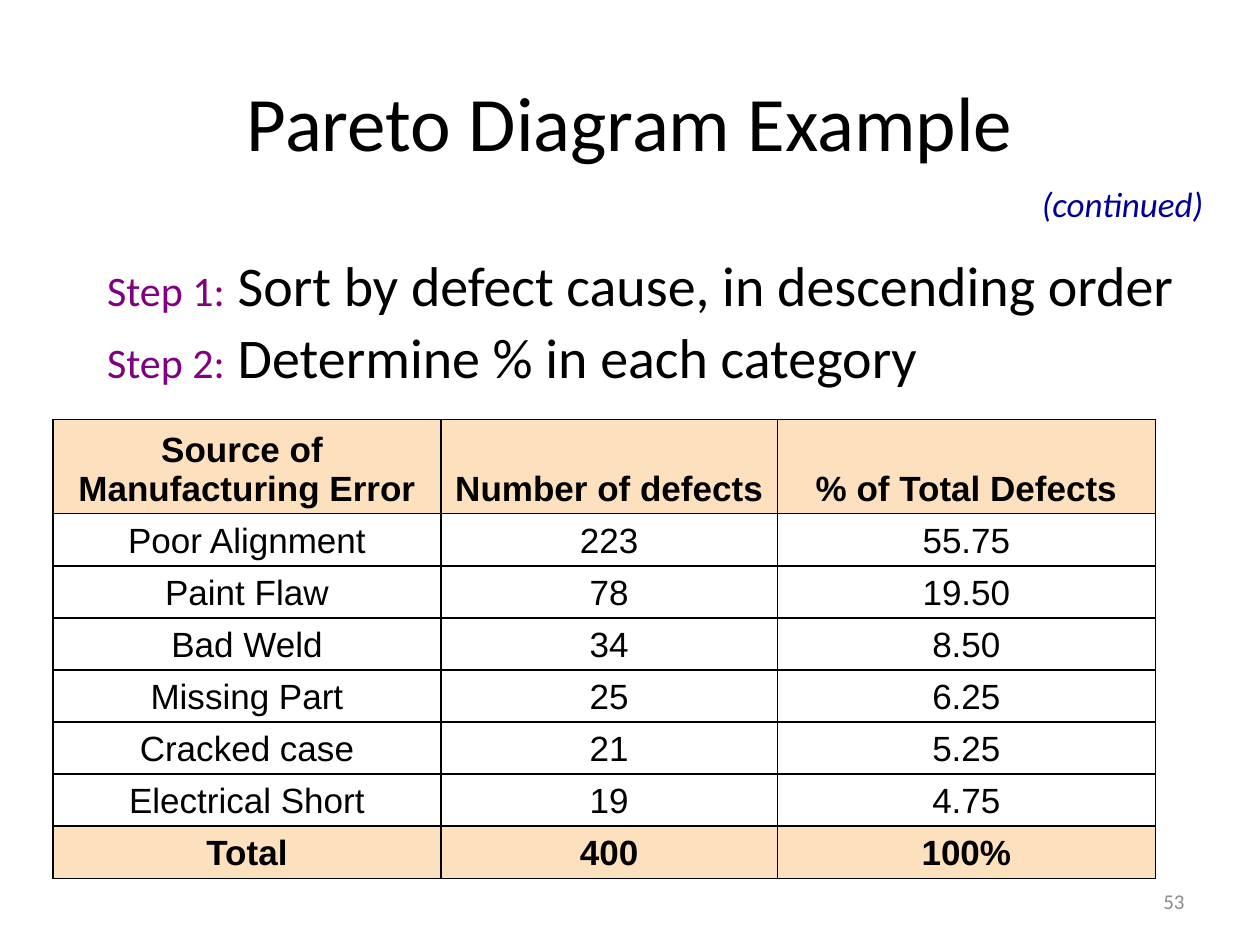
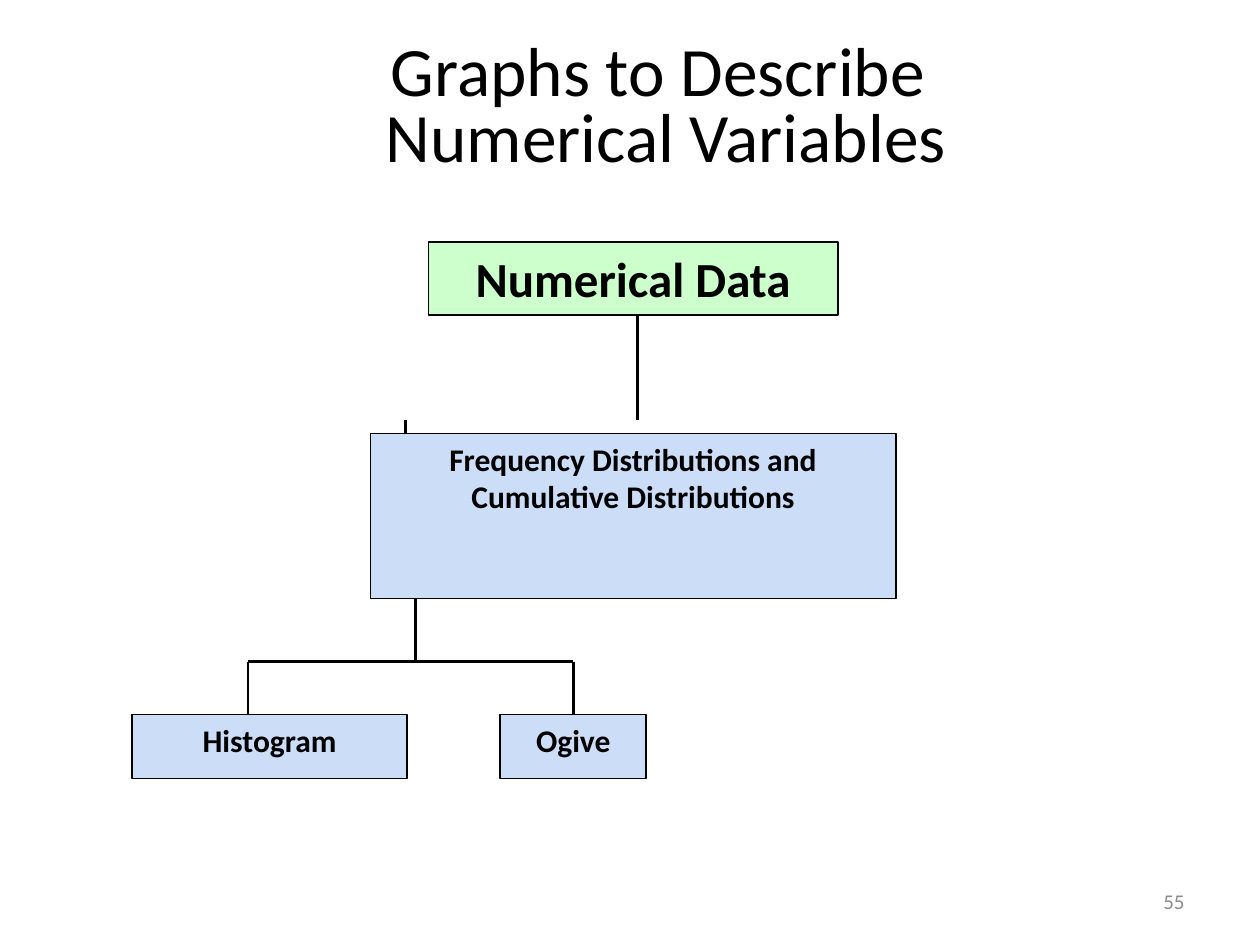
from lxml.etree import SubElement
from pptx import Presentation
from pptx.dml.color import RGBColor
from pptx.enum.shapes import MSO_CONNECTOR, MSO_SHAPE
from pptx.enum.text import MSO_ANCHOR, MSO_AUTO_SIZE, PP_ALIGN
from pptx.oxml.ns import qn
from pptx.util import Inches, Pt

BLACK = RGBColor(0x00, 0x00, 0x00)
PURPLE = RGBColor(0x80, 0x00, 0x80)
NAVY = RGBColor(0x00, 0x00, 0x99)
GREY = RGBColor(0x8C, 0x8C, 0x8C)
PEACH = RGBColor(0xFD, 0xE0, 0xBD)
GREEN = RGBColor(0xCC, 0xFF, 0xCC)
BLUE = RGBColor(0xCB, 0xDD, 0xF7)
BODY_FONT = "Calibri"
TABLE_FONT = "Arial"


def place(shape, left, top, width, height):
    shape.left, shape.top = Inches(left), Inches(top)
    shape.width, shape.height = Inches(width), Inches(height)


def style(para, size, color, font=BODY_FONT, bold=False, italic=False, align=PP_ALIGN.CENTER):
    para.alignment = align
    for span in para.runs:
        span.font.name = font
        span.font.size = Pt(size)
        span.font.bold = bold
        span.font.italic = italic
        span.font.color.rgb = color


deck = Presentation()
deck.slide_width, deck.slide_height = Inches(10), Inches(7.5)

# Titles and page numbers: layout, title, place, size, line spacing, number
pages = []
for layout, title, spot, size, spacing, number in [
    (1, "Pareto Diagram Example", (0.5, 0.3, 9, 1.25), 44, 1.1, "53"),
    (5, "Graphs to Describe \vNumerical Variables", (1.25, 0.33, 8.07, 1.08), 39.6, 0.8, "55"),
]:
    page = deck.slides.add_slide(deck.slide_layouts[layout])
    pages.append(page)
    heading = page.shapes.title
    place(heading, *spot)
    frame = heading.text_frame
    frame.text = title
    frame.auto_size = MSO_AUTO_SIZE.NONE
    frame.vertical_anchor = MSO_ANCHOR.MIDDLE
    frame.paragraphs[0].line_spacing = spacing
    style(frame.paragraphs[0], size, BLACK)

    frame = page.shapes.add_textbox(Inches(7.17), Inches(6.95), Inches(2.33), Inches(0.4)).text_frame
    frame.text = number
    frame.word_wrap = True
    frame.vertical_anchor = MSO_ANCHOR.MIDDLE
    style(frame.paragraphs[0], 12, GREY, align=PP_ALIGN.RIGHT)

pareto_page, graphs_page = pages

# Steps
steps = pareto_page.placeholders[1]
place(steps, 0.75, 2, 8.83, 4.96)
frame = steps.text_frame
frame.auto_size = MSO_AUTO_SIZE.NONE
for index, (label, step) in enumerate([
    ("Step 1:", " Sort by defect cause, in descending order"),
    ("Step 2:", " Determine % in each category"),
]):
    para = frame.add_paragraph() if index else frame.paragraphs[0]
    properties = para._p.get_or_add_pPr()
    properties.set("marL", str(Inches(0.38)))
    properties.set("indent", str(Inches(-0.38)))
    SubElement(properties, qn("a:buNone"))
    para.line_spacing = 0.9
    para.space_before = Pt(6.4 * index)
    para.add_run().text = label
    para.add_run().text = step
    style(para, 32, BLACK, align=PP_ALIGN.LEFT)
    para.runs[0].font.size = Pt(24)
    para.runs[0].font.color.rgb = PURPLE

# Defect table
defects = [
    ("Source of \nManufacturing Error", "Number of defects", "% of Total Defects"),
    ("Poor Alignment", "223", "55.75"),
    ("Paint Flaw", "78", "19.50"),
    ("Bad Weld", "34", "8.50"),
    ("Missing Part", "25", "6.25"),
    ("Cracked case", "21", "5.25"),
    ("Electrical Short", "19", "4.75"),
    ("Total", "400", "100%"),
]
table = pareto_page.shapes.add_table(
    len(defects), 3, Inches(0.42), Inches(3.33), Inches(8.75), Inches(3.59)).table
table.first_row = table.horz_banding = False
for column, width in zip(table.columns, (3.08, 2.67, 3)):
    column.width = Inches(width)
for row_index, values in enumerate(defects):
    emphasized = row_index in (0, len(defects) - 1)
    table.rows[row_index].height = Inches(0.41 if row_index else 0.72)
    for column_index, value in enumerate(values):
        cell = table.cell(row_index, column_index)
        cell.text = value
        cell.vertical_anchor = MSO_ANCHOR.BOTTOM
        cell.margin_top = cell.margin_bottom = Inches(0.04)
        for para in cell.text_frame.paragraphs:
            style(para, 20, BLACK, TABLE_FONT, bold=emphasized)
        for side in ("a:lnL", "a:lnR", "a:lnT", "a:lnB"):
            border = SubElement(cell._tc.get_or_add_tcPr(), qn(side), w=str(Pt(1)))
            border_fill = SubElement(border, qn("a:solidFill"))
            SubElement(border_fill, qn("a:srgbClr"), val=str(BLACK))
        if emphasized:
            cell.fill.solid()
            cell.fill.fore_color.rgb = PEACH
        else:
            cell.fill.background()

# Continuation mark
frame = pareto_page.shapes.add_textbox(Inches(8.17), Inches(1.4), Inches(1.67), Inches(0.43)).text_frame
frame.text = "(continued)"
frame.word_wrap = True
style(frame.paragraphs[0], 20, NAVY, italic=True, align=PP_ALIGN.LEFT)

# Tree branches, behind the boxes
branches = []
for start_x, start_y, end_x, end_y in [
    (5.06, 2.5, 5.06, 3.33),
    (3.22, 3.33, 3.22, 3.83),
    (3.3, 4.75, 3.3, 5.25),
    (1.97, 5.25, 4.55, 5.25),
    (1.97, 5.25, 1.97, 5.67),
    (4.55, 5.25, 4.55, 5.67),
]:
    branch = graphs_page.shapes.add_connector(
        MSO_CONNECTOR.STRAIGHT, Inches(start_x), Inches(start_y), Inches(end_x), Inches(end_y))
    branch.line.color.rgb = BLACK
    branch.line.width = Pt(1.5)
    SubElement(branch._element.spPr, qn("a:effectLst"))
    branches.append(branch)

# Tree boxes
for text, spot, fill, size in [
    ("Numerical Data", (3.4, 1.92, 3.25, 0.58), GREEN, 28),
    ("Frequency Distributions and\nCumulative Distributions", (2.94, 3.44, 4.17, 1.31), BLUE, 18),
    ("Histogram", (1.05, 5.67, 2.18, 0.51), BLUE, 18),
    ("Ogive", (3.97, 5.67, 1.16, 0.51), BLUE, 18),
]:
    box = graphs_page.shapes.add_shape(MSO_SHAPE.RECTANGLE, *map(Inches, spot))
    box.shadow.inherit = False
    box.fill.solid()
    box.fill.fore_color.rgb = fill
    box.line.color.rgb = BLACK
    box.line.width = Pt(1)
    frame = box.text_frame
    frame.text = text
    frame.word_wrap = True
    frame.vertical_anchor = MSO_ANCHOR.TOP
    for para in frame.paragraphs:
        style(para, size, BLACK, bold=True)
    for para in frame.paragraphs[1:]:
        para.line_spacing = 0.5
        para.space_before = Pt(9)
    if text == "Ogive":
        branches[-1].end_connect(box, 0)

deck.save("out.pptx")
